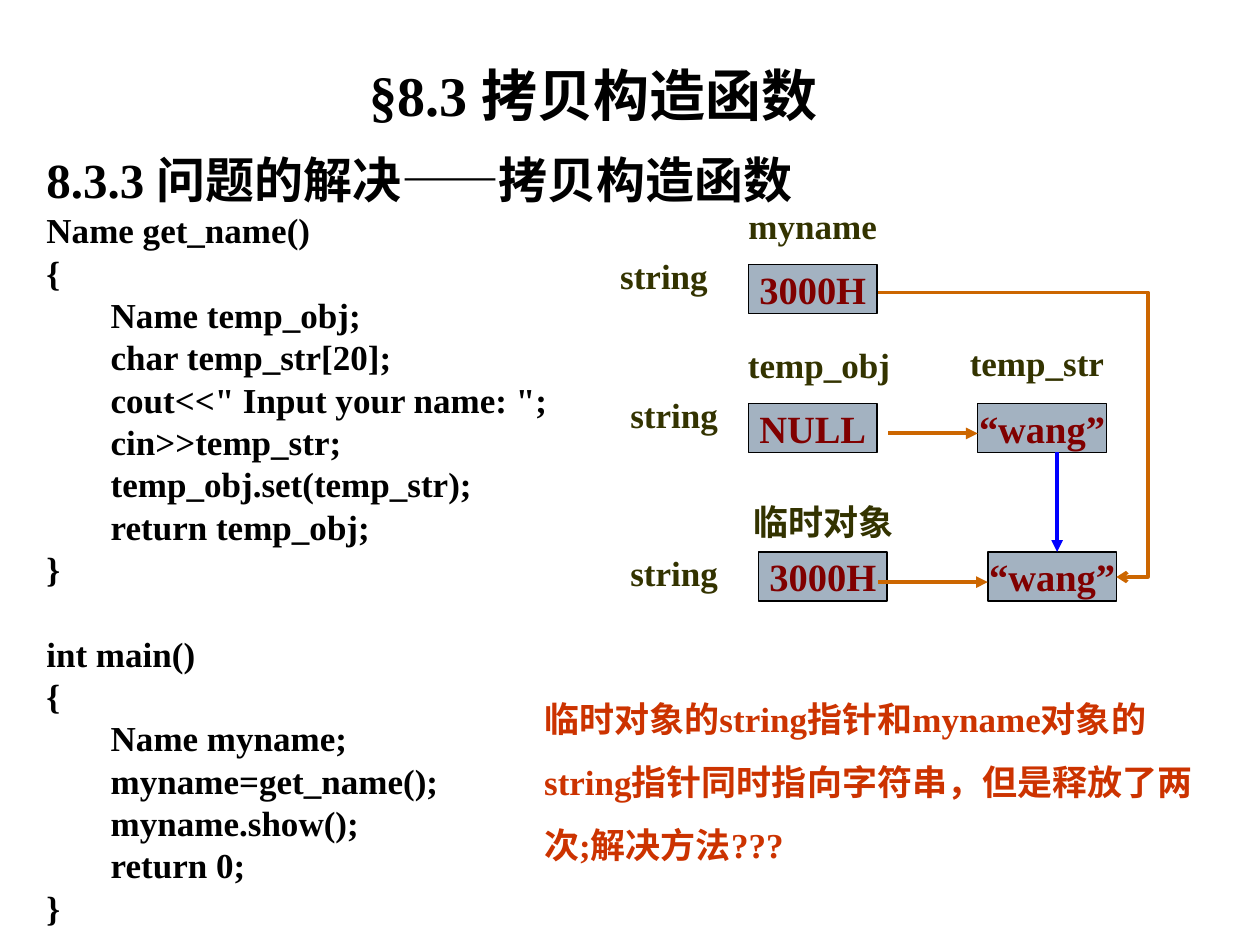
from dataclasses import dataclass

from pptx import Presentation, util as u
from pptx.dml.color import RGBColor
from pptx.enum import shapes, text
from pptx.oxml import parse_xml
from pptx.oxml.ns import nsdecls, qn
from lxml import etree


@dataclass(frozen=True)
class Theme:
    font: str = "Times New Roman"
    ink: str = "000000"
    paper: str = "FFFFFF"
    label: str = "333300"
    value: str = "800000"
    cell: str = "A3B2C1"
    note: str = "CC3300"
    pointer: str = "CC6600"
    release: str = "0000FF"
    title_size: int = 32
    heading_size: int = 28
    body_size: int = 20
    value_size: int = 22


theme = Theme()
PP = text.PP_ALIGN
ANCHOR = text.MSO_ANCHOR


def add_run(p, words, size, color):
    r = p.add_run()
    r.text = words
    r.font.name = theme.font
    r.font.size = u.Pt(size)
    r.font.bold = True
    r.font.color.rgb = RGBColor.from_string(color)


def add_box(left, top, width, height, words, size, color, align=PP.CENTER,
            anchor=ANCHOR.TOP, inset=(0, 0), spacing=None, wrap=True, fill=None, line=None):
    area = [u.Inches(v) for v in (left, top, width, height)]
    if fill:
        sp = s.shapes.add_shape(shapes.MSO_SHAPE.RECTANGLE, *area)
        sp.shadow.inherit = False
        sp.fill.solid()
        sp.fill.fore_color.rgb = RGBColor.from_string(fill)
        if line:
            sp.line.color.rgb = RGBColor.from_string(line)
            sp.line.width = u.Pt(0.75)
        else:
            sp.line.fill.background()
    else:
        sp = s.shapes.add_textbox(*area)
    tf = sp.text_frame
    tf.word_wrap = wrap
    tf.vertical_anchor = anchor
    tf.margin_left = tf.margin_right = u.Inches(inset[0])
    tf.margin_top = tf.margin_bottom = u.Inches(inset[1])
    p = tf.paragraphs[0]
    p.alignment = align
    if spacing:
        p.line_spacing = spacing
    add_run(p, words, size, color)
    return tf


prs = Presentation()
prs.slide_width = u.Inches(10)
prs.slide_height = u.Inches(7.5)
s = prs.slides.add_slide(prs.slide_layouts[6])

padding = (0.1, 0.05)
code = """Name get_name()
{
	Name temp_obj;
	char temp_str[20];
	cout<<" Input your name: ";
	cin>>temp_str;
	temp_obj.set(temp_str);
	return temp_obj;
}
int main()
{
	Name myname;
	myname=get_name();
	myname.show();
	return 0;
}"""

tf = add_box(0.27, 1.23, 9.52, 6.27, "8.3.3 问题的解决——拷贝构造函数", theme.heading_size,
             theme.ink, PP.LEFT, inset=padding, fill=theme.paper)
for row in code.split("\n"):
    p = tf.add_paragraph()
    p.alignment = PP.LEFT
    p.space_before = u.Pt(29 if row == "int main()" else 5)
    add_run(p, row, theme.body_size, theme.ink)
for p in tf.paragraphs:
    p.line_spacing = 0.8
    pPr = p._p.get_or_add_pPr()
    pPr.set("marL", str(u.Inches(0.51)))
    pPr.set("indent", str(u.Inches(-0.51)))

add_box(0.45, 0.28, 8.52, 0.78, "§8.3 拷贝构造函数", theme.title_size, theme.ink,
        anchor=ANCHOR.BOTTOM, inset=padding)
add_box(4.22, 5.32, 5.55, 1.6,
        "临时对象的string指针和myname对象的string指针同时指向字符串，但是释放了两次;解决方法???",
        theme.body_size, theme.note, PP.LEFT, inset=padding, spacing=1.5)

for left, top, width, words in [
    (5.94, 1.62, 1.02, "myname"),
    (4.76, 2.02, 1.02, "string"),
    (5.87, 2.73, 1.26, "temp_obj"),
    (4.84, 3.12, 1.02, "string"),
    (7.68, 2.71, 1.1, "temp_str"),
    (4.84, 4.38, 1.02, "string"),
]:
    add_box(left, top, width, 0.33, words, theme.body_size, theme.label)
add_box(5.88, 3.76, 1.31, 0.6, "临时对象", theme.body_size, theme.label,
        inset=padding, spacing=1.5, wrap=False)

for left, top, words in [
    (5.94, 2.1, "3000H"),
    (5.94, 3.2, "NULL"),
    (7.76, 3.2, "“wang”"),
    (6.02, 4.38, "3000H"),
    (7.84, 4.38, "“wang”"),
]:
    add_box(left, top, 1.02, 0.39, words, theme.value_size, theme.value,
            anchor=ANCHOR.MIDDLE, wrap=False, fill=theme.cell, line=theme.ink)

STRAIGHT = shapes.MSO_CONNECTOR.STRAIGHT
ELBOW = shapes.MSO_CONNECTOR.ELBOW
for kind, ends, color, width, head in [
    (STRAIGHT, (7.05, 3.44, 7.76, 3.44), theme.pointer, 2.25, "triangle"),
    (STRAIGHT, (6.97, 4.62, 7.84, 4.62), theme.pointer, 2.25, "triangle"),
    (STRAIGHT, (8.39, 3.59, 8.39, 4.38), theme.release, 2.25, "triangle"),
    (ELBOW, (6.97, 2.32, 8.86, 4.58), theme.pointer, 2, "arrow"),
]:
    cn = s.shapes.add_connector(kind, *[u.Inches(v) for v in ends])
    cn.line.color.rgb = RGBColor.from_string(color)
    cn.line.width = u.Pt(width)
    cn.line._get_or_add_ln().append(parse_xml(f'<a:tailEnd {nsdecls("a")} type="{head}"/>'))
    spPr = cn._element.spPr
    etree.SubElement(spPr, qn("a:effectLst"))
    if kind == ELBOW:
        bend = round((9.11 - ends[0]) / (ends[2] - ends[0]) * 100000)
        guide = etree.SubElement(spPr.find(qn("a:prstGeom")).find(qn("a:avLst")), qn("a:gd"))
        guide.set("name", "adj1")
        guide.set("fmla", f"val {bend}")

prs.save("out.pptx")
